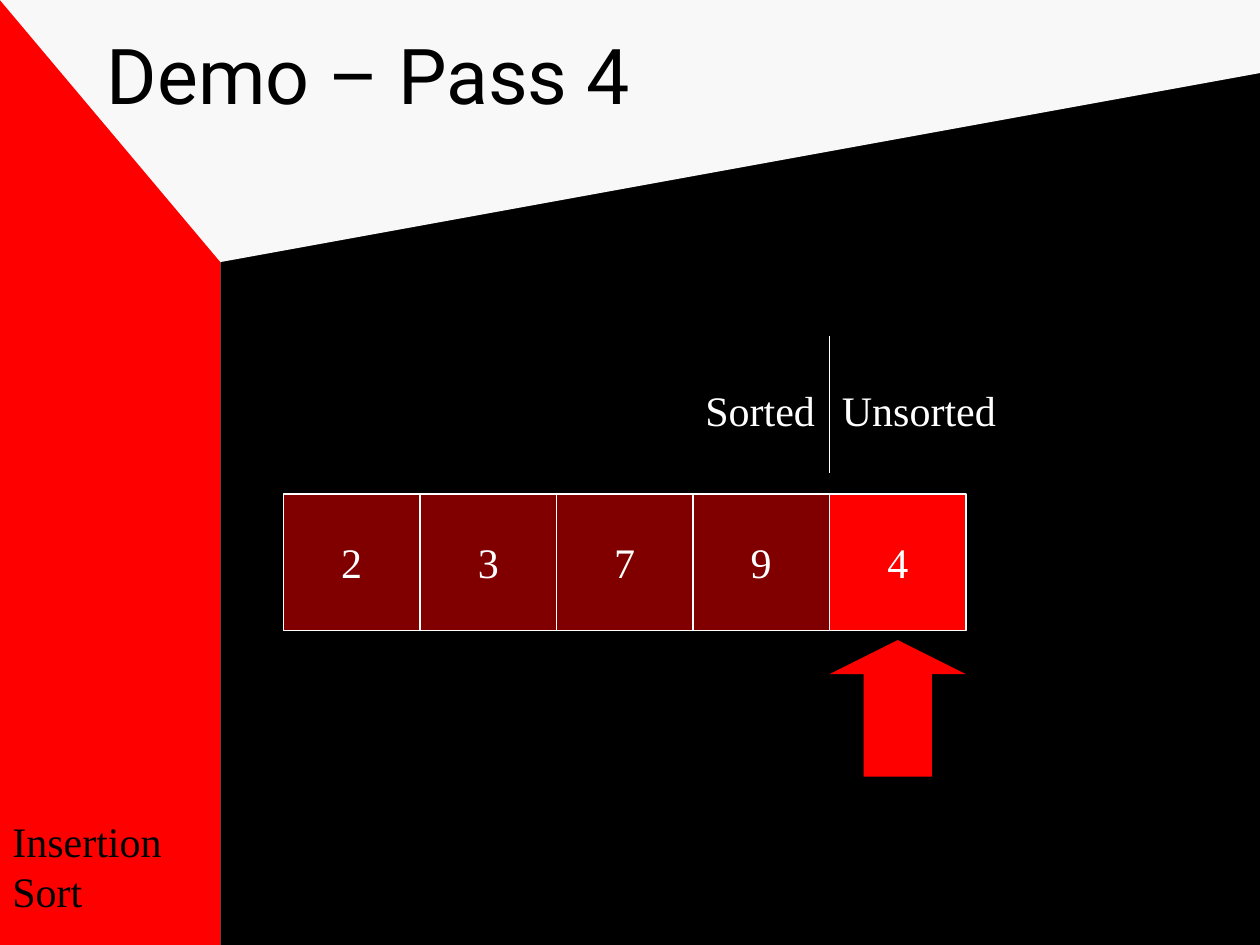
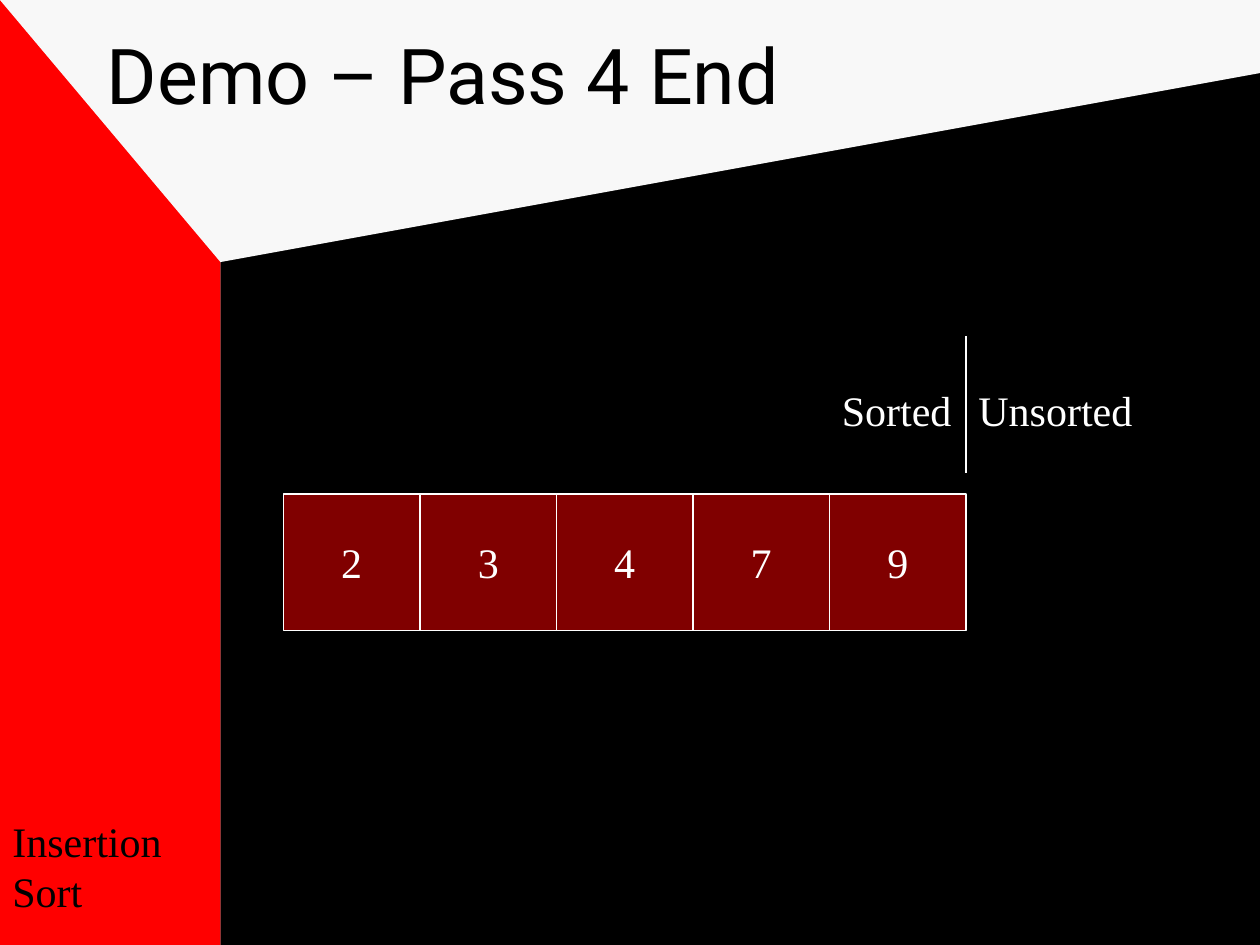
"""Build two insertion sort slides showing pass 4 and its end."""
from dataclasses import dataclass

from lxml.etree import SubElement
from pptx import Presentation
from pptx.dml.color import RGBColor
from pptx.enum.shapes import MSO_CONNECTOR, MSO_SHAPE
from pptx.enum.text import MSO_ANCHOR, PP_ALIGN
from pptx.oxml.ns import qn
from pptx.shapes.autoshape import Shape
from pptx.slide import Slide
from pptx.util import Inches, Pt

BLACK = RGBColor(0x00, 0x00, 0x00)
WHITE = RGBColor(0xFF, 0xFF, 0xFF)
RED = RGBColor(0xFF, 0x00, 0x00)
PALE = RGBColor(0xF8, 0xF8, 0xF8)
GREY = RGBColor(0x80, 0x80, 0x80)

PAGE_WIDTH, PAGE_HEIGHT = Inches(10), Inches(7.5)
SIDE_WIDTH = Inches(1.75)
HEADER_POINTS = ((0, 0), (1.75, 2.08), (10, 0.58), (10, 0))

CELL = Inches(13 / 12)
ARRAY_LEFT, ARRAY_TOP = Inches(2.25), Inches(3.92)
DIVIDER_TOP, DIVIDER_BOTTOM = Inches(2.67), Inches(3.75)
LABEL_TOP, LABEL_HEIGHT = Inches(3), Inches(0.5)
ARROW_TOP = Inches(5.08)
LINE_WIDTH = Pt(0.75)

TITLE_FONT = {"name": "Roboto", "size": Pt(44)}
BODY_FONT = {"name": "Times New Roman", "size": Pt(24)}


@dataclass(frozen=True)
class SortStep:
    """One state of the array, with its first sorted_count values sorted."""

    title: str
    values: tuple[int, ...]
    sorted_count: int


STEPS = (
    SortStep("Demo – Pass 4", (2, 3, 7, 9, 4), 4),
    SortStep("Demo – Pass 4 End", (2, 3, 4, 7, 9), 5),
)


def write(box: Shape, text: str, font: dict, color: RGBColor) -> None:
    """Write one left-aligned paragraph into a box."""
    para = box.text_frame.paragraphs[0]
    para.text = text
    para.alignment = PP_ALIGN.LEFT
    for span in para.runs:
        for name, value in font.items():
            setattr(span.font, name, value)
        span.font.color.rgb = color


def add_text(page: Slide, text: str, left: int, top: int, width: int, height: int,
             font: dict, color: RGBColor) -> None:
    """Add a wrapping text box."""
    box = page.shapes.add_textbox(left, top, width, height)
    box.text_frame.word_wrap = True
    write(box, text, font, color)


def paint(shape: Shape, color: RGBColor) -> None:
    """Give a shape a flat fill without outline or shadow."""
    shape.shadow.inherit = False
    shape.fill.solid()
    shape.fill.fore_color.rgb = color
    shape.line.fill.background()


def add_block(page: Slide, kind: MSO_SHAPE, left: int, top: int, width: int,
              height: int, color: RGBColor) -> Shape:
    """Add a flat preset shape."""
    block = page.shapes.add_shape(kind, left, top, width, height)
    paint(block, color)
    return block


def add_room(page: Slide) -> None:
    """Draw the background walls and topic label shared by all slides."""
    page.background.fill.solid()
    page.background.fill.fore_color.rgb = GREY
    add_block(page, MSO_SHAPE.RECTANGLE, SIDE_WIDTH, 0,
              PAGE_WIDTH - SIDE_WIDTH, PAGE_HEIGHT, BLACK)
    add_block(page, MSO_SHAPE.RECTANGLE, 0, 0, SIDE_WIDTH, PAGE_HEIGHT, RED)
    corners = [(Inches(x), Inches(y)) for x, y in HEADER_POINTS]
    builder = page.shapes.build_freeform(*corners[0])
    builder.add_line_segments(corners[1:], close=True)
    paint(builder.convert_to_shape(), PALE)
    add_text(page, "Insertion\vSort", 0, Inches(6.42), SIDE_WIDTH, Inches(0.9),
             BODY_FONT, BLACK)


def add_cell(page: Slide, value: int, left: int, is_sorted: bool) -> None:
    """Draw one array cell, half transparent once it is sorted."""
    cell = add_block(page, MSO_SHAPE.RECTANGLE, left, ARRAY_TOP, CELL, CELL, RED)
    cell.line.color.rgb = WHITE
    cell.line.width = LINE_WIDTH
    if is_sorted:
        tint = cell.fill._xPr.find(qn("a:solidFill"))[0]
        SubElement(tint, qn("a:alpha"), val="50000")
    cell.text_frame.word_wrap = False
    cell.text_frame.vertical_anchor = MSO_ANCHOR.MIDDLE
    write(cell, str(value), BODY_FONT, WHITE)
    cell.text_frame.paragraphs[0].alignment = PP_ALIGN.CENTER


def add_divider(page: Slide, x: int) -> None:
    """Draw the line between the sorted and unsorted parts with its labels."""
    divider = page.shapes.add_connector(
        MSO_CONNECTOR.STRAIGHT, x, DIVIDER_BOTTOM, x, DIVIDER_TOP)
    divider.line.color.rgb = WHITE
    divider.line.width = LINE_WIDTH
    SubElement(divider._element.spPr, qn("a:effectLst"))
    for text, left, width in (("Unsorted", x, Inches(1.67)),
                              ("Sorted", x - CELL, Inches(1.33))):
        add_text(page, text, left, LABEL_TOP, width, LABEL_HEIGHT, BODY_FONT, WHITE)


def add_step(page: Slide, step: SortStep) -> None:
    """Draw one step of the sort."""
    add_room(page)
    add_text(page, step.title, Inches(0.75), Inches(0.17), Inches(8.5), Inches(1.25),
             TITLE_FONT, BLACK)
    boundary = ARRAY_LEFT + step.sorted_count * CELL
    add_divider(page, boundary)
    for index, value in enumerate(step.values):
        add_cell(page, value, ARRAY_LEFT + index * CELL, index < step.sorted_count)
    if step.sorted_count < len(step.values):
        arrow = add_block(page, MSO_SHAPE.UP_ARROW, boundary, ARROW_TOP, CELL, CELL, RED)
        arrow.adjustments[0] = 0.5
        arrow.adjustments[1] = 0.25


def main() -> None:
    """Build and save the deck."""
    deck = Presentation()
    deck.slide_width, deck.slide_height = PAGE_WIDTH, PAGE_HEIGHT
    for step in STEPS:
        add_step(deck.slides.add_slide(deck.slide_layouts[6]), step)
    deck.save("out.pptx")


if __name__ == "__main__":
    main()
